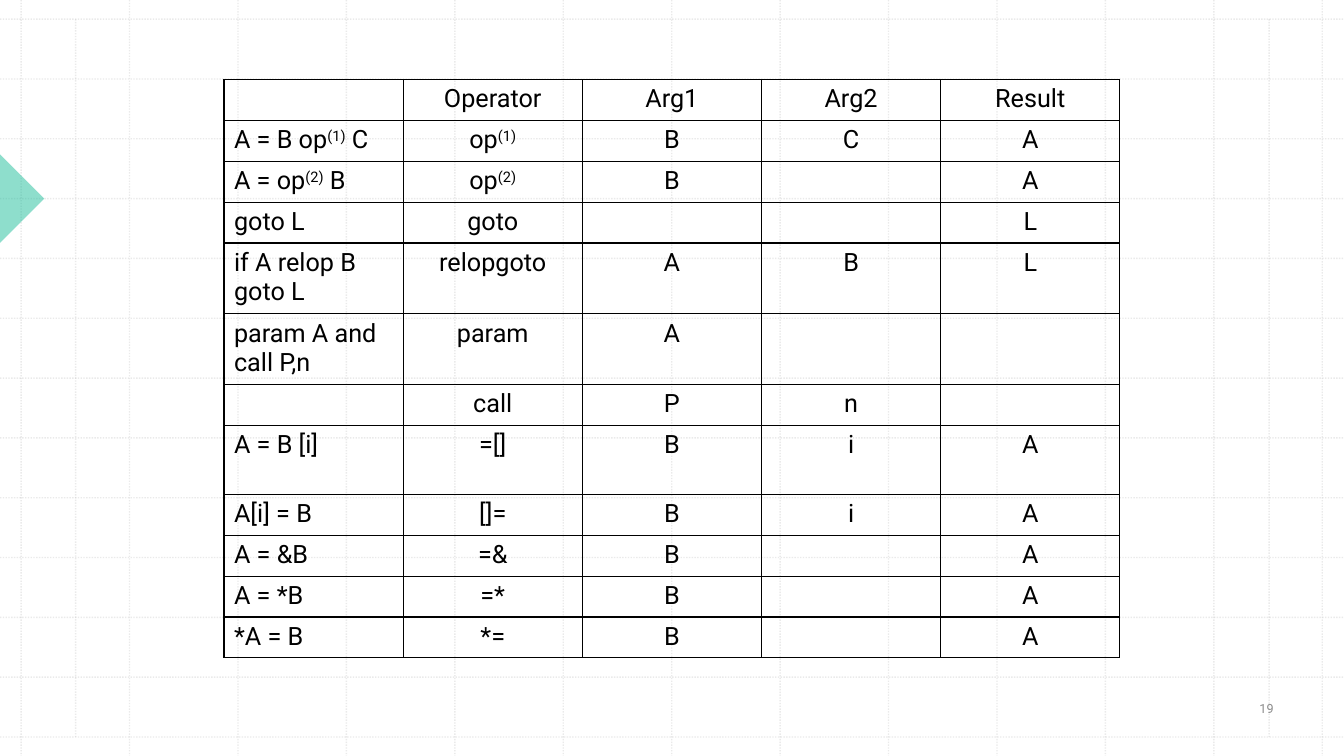
import dataclasses

import lxml.etree
import pptx
import pptx.dml.color
import pptx.enum.dml
import pptx.enum.shapes
import pptx.enum.text
import pptx.oxml.ns
import pptx.util

Pt = pptx.util.Pt
RGB = pptx.dml.color.RGBColor.from_string
qn = pptx.oxml.ns.qn
ALIGN = pptx.enum.text.PP_ALIGN


@dataclasses.dataclass(frozen=True)
class Theme:
    """Colours, font and type sizes of the slide."""
    font: str = "Roboto"
    ink: str = "000000"
    grid: str = "BCBCBC"
    accent: str = "1EBE9B"
    muted: str = "8C8C8C"
    table_size: float = 18
    number_size: float = 9


THEME = Theme()
WIDTH, HEIGHT = 960, 540
GRID_LEFT, GRID_TOP = 15.1, 13.68
GRID_STEP_X, GRID_STEP_Y = 77.45, 42.73
GRID_COUNT = 13
GRID_BOTTOM = GRID_TOP + GRID_STEP_Y * (GRID_COUNT - 1)
MARGINS = (54, 906.5)
COLUMN_WIDTH = 128
ROW_HEIGHT, TALL_ROW_HEIGHT = 29.2, 49.5
TALL_ROWS = (4, 5, 7)
ROWS = [
    ("", "Operator", "Arg1", "Arg2", "Result"),
    ("A = B op^(1)^ C", "op^(1)", "B", "C", "A"),
    ("A = op^(2)^ B", "op^(2)", "B", "", "A"),
    ("goto L", "goto", "", "", "L"),
    ("if A relop B goto L", "relopgoto", "A", "B", "L"),
    ("param A and call P,n", "param", "A", "", ""),
    ("", "call", "P", "n", ""),
    ("A = B [i]", "=[]", "B", "i", "A"),
    ("A[i] = B", "[]=", "B", "i", "A"),
    ("A = &B", "=&", "B", "", "A"),
    ("A = *B", "=*", "B", "", "A"),
    ("*A = B", "*=", "B", "", "A"),
]


def apply(target, values):
    """Set every attribute named in a dict of format values."""
    for name, value in values.items():
        setattr(target, name, value)


def set_alpha(element, percent):
    """Make the solid colour inside an element partly transparent."""
    colour = next(element.iter(qn("a:srgbClr")))
    lxml.etree.SubElement(colour, qn("a:alpha")).set("val", str(percent * 1000))


def write(paragraph, text, size, colour, align):
    """Write text in a paragraph, raising each part between carets."""
    paragraph.alignment = align
    for index, part in enumerate(text.split("^")):
        if part:
            span = paragraph.add_run()
            span.text = part
            apply(span.font, {"name": THEME.font, "size": Pt(size)})
            span.font.color.rgb = RGB(colour)
            if index % 2:
                span._r.get_or_add_rPr().set("baseline", "30000")


def add_grid_line(page, x1, y1, x2, y2):
    """Add one faint dotted line of the background grid."""
    rule = page.shapes.add_connector(
        pptx.enum.shapes.MSO_CONNECTOR.STRAIGHT, Pt(x1), Pt(y1), Pt(x2), Pt(y2))
    rule.line.color.rgb = RGB(THEME.grid)
    apply(rule.line, {"width": Pt(1),
                      "dash_style": pptx.enum.dml.MSO_LINE.ROUND_DOT})
    properties = rule._element.spPr
    set_alpha(properties, 30)
    lxml.etree.SubElement(properties, qn("a:effectLst"))


def add_grid(page):
    """Add the evenly spaced grid and its two margin lines."""
    for index in range(GRID_COUNT):
        x = GRID_LEFT + GRID_STEP_X * index
        y = GRID_TOP + GRID_STEP_Y * index
        add_grid_line(page, x, 0, x, HEIGHT)
        add_grid_line(page, 0, y, WIDTH, y)
    for x in MARGINS:
        add_grid_line(page, x, GRID_TOP, x, GRID_BOTTOM)


def add_marker(page):
    """Add the translucent triangle that points in from the left edge."""
    side = 44.64
    marker = page.shapes.add_shape(
        pptx.enum.shapes.MSO_SHAPE.RIGHT_TRIANGLE,
        Pt(-side / 2), Pt(119.52), Pt(side), Pt(side))
    marker.rotation = 225
    marker.shadow.inherit = False
    marker.fill.solid()
    marker.fill.fore_color.rgb = RGB(THEME.accent)
    set_alpha(marker._element.spPr, 50)
    marker.line.fill.background()


def add_page_number(page, text):
    """Add the page number in the lower right corner."""
    box = page.shapes.add_textbox(Pt(866.16), Pt(489.6), Pt(77.04), Pt(33.12))
    frame = box.text_frame
    apply(frame, {"word_wrap": True,
                  "vertical_anchor": pptx.enum.text.MSO_ANCHOR.MIDDLE})
    write(frame.paragraphs[0], text, THEME.number_size, THEME.muted, ALIGN.CENTER)


def set_borders(cell):
    """Draw a thin solid border on all four sides of a cell."""
    properties = cell._tc.get_or_add_tcPr()
    for side in ("a:lnL", "a:lnR", "a:lnT", "a:lnB"):
        border = lxml.etree.SubElement(properties, qn(side), w=str(Pt(1)))
        fill = lxml.etree.SubElement(border, qn("a:solidFill"))
        lxml.etree.SubElement(fill, qn("a:srgbClr"), val=THEME.ink)


def add_code_table(page):
    """Add the table of statements and their quadruples."""
    heights = [TALL_ROW_HEIGHT if index in TALL_ROWS else ROW_HEIGHT
               for index in range(len(ROWS))]
    columns = len(ROWS[0])
    table = page.shapes.add_table(
        len(ROWS), columns, Pt(160), Pt(56.8),
        Pt(COLUMN_WIDTH * columns), Pt(sum(heights))).table
    apply(table, {"first_row": False, "horz_banding": False})
    for column in table.columns:
        column.width = Pt(COLUMN_WIDTH)
    for row, height, texts in zip(table.rows, heights, ROWS):
        row.height = Pt(height)
        for index, (cell, text) in enumerate(zip(row.cells, texts)):
            set_borders(cell)
            cell.fill.background()
            write(cell.text_frame.paragraphs[0], text, THEME.table_size,
                  THEME.ink, ALIGN.CENTER if index else ALIGN.LEFT)


def main():
    """Build the slide and save it."""
    deck = pptx.Presentation()
    apply(deck, {"slide_width": Pt(WIDTH), "slide_height": Pt(HEIGHT)})
    page = deck.slides.add_slide(deck.slide_layouts[6])
    add_grid(page)
    add_marker(page)
    add_page_number(page, "19")
    add_code_table(page)
    deck.save("out.pptx")


if __name__ == "__main__":
    main()
